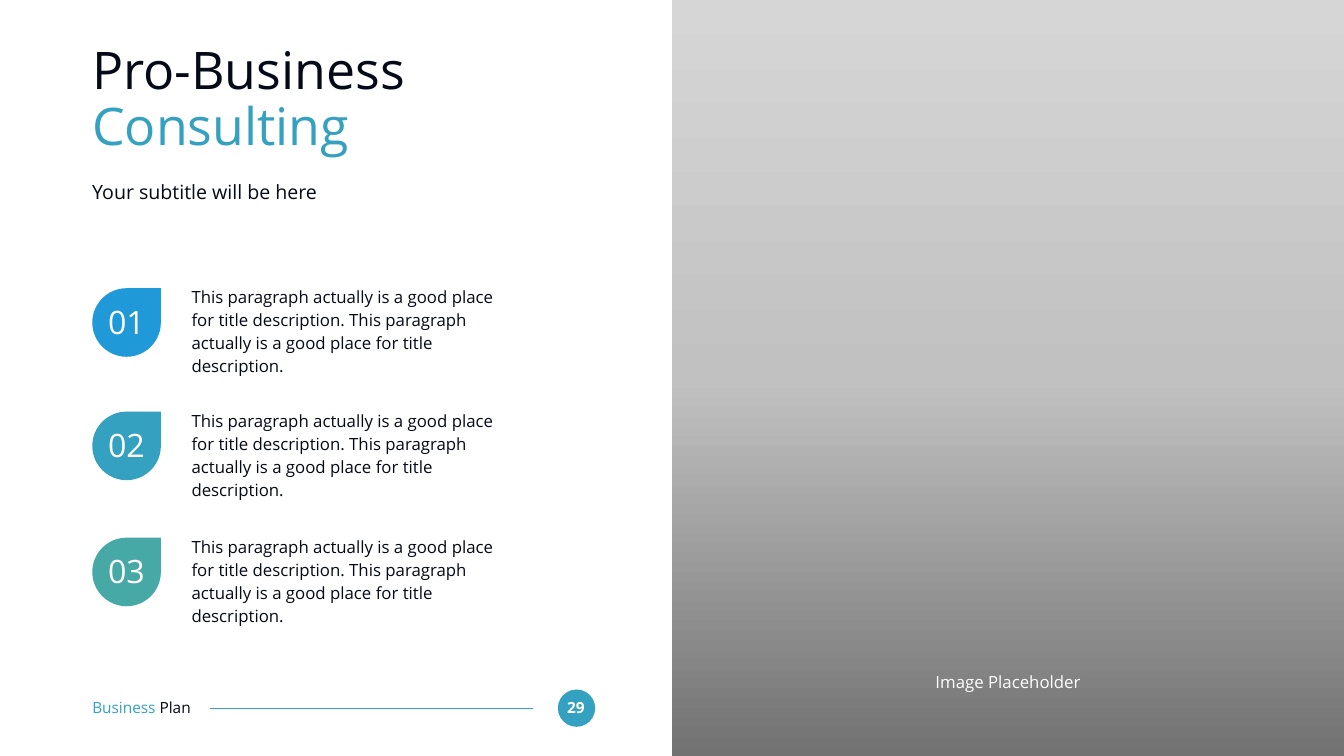
from copy import deepcopy
from lxml.etree import SubElement
from pptx import Presentation
from pptx.dml.color import RGBColor
from pptx.enum.shapes import MSO_CONNECTOR, MSO_SHAPE as SHAPE
from pptx.enum.text import MSO_ANCHOR as ANCHOR, PP_ALIGN as ALIGN
from pptx.oxml.ns import qn
from pptx.util import Pt

INK, WHITE = "050A19", "FFFFFF"
BLUE, TEAL, GREEN = "1F99D8", "34A1C0", "46A9A6"
LEFT = 131.8
DESCRIPTION = ("This paragraph actually is a good place for title description. "
               "This paragraph actually is a good place for title description.")


def color(value):
    return RGBColor.from_string(value)


class SlideBuilder:
    font_name = "Open Sans"

    def __init__(self, slide):
        self.slide = slide

    def shape(self, kind, left, top, width, height, fill=None):
        shape = self.slide.shapes.add_shape(
            kind, Pt(left), Pt(top), Pt(width), Pt(height))
        shape.shadow.inherit = False
        shape.line.fill.background()
        if fill:
            shape.fill.solid()
            shape.fill.fore_color.rgb = color(fill)
        return shape

    def gradient(self, left, top, width, height, bottom, middle, upper):
        shape = self.shape(SHAPE.RECTANGLE, left, top, width, height)
        shape.fill.gradient()
        shape.fill.gradient_angle = 90
        # Add a third stop between the two default ones
        stop_list = shape.element.find(".//" + qn("a:gsLst"))
        stop_list.insert(1, deepcopy(stop_list[0]))
        stops = zip(shape.fill.gradient_stops, (0, 0.5, 1), (bottom, middle, upper))
        for stop, position, value in stops:
            stop.position = position
            stop.color.rgb = color(value)

    def text(self, left, top, width, height, runs, size, align=ALIGN.LEFT,
             anchor=ANCHOR.MIDDLE, spacing=1.0, bold=False):
        box = self.slide.shapes.add_textbox(Pt(left), Pt(top), Pt(width), Pt(height))
        frame = box.text_frame
        frame.word_wrap = True
        frame.vertical_anchor = anchor
        frame.margin_left = frame.margin_right = 0
        frame.margin_top = frame.margin_bottom = 0
        paragraph = frame.paragraphs[0]
        paragraph.alignment = align
        paragraph.line_spacing = spacing
        for words, value in runs:
            run = paragraph.add_run()
            run.text = words
            run.font.name = self.font_name
            run.font.size = Pt(size)
            run.font.bold = bold
            run.font.color.rgb = color(value)

    def line(self, x1, y1, x2, y2, value, width):
        connector = self.slide.shapes.add_connector(
            MSO_CONNECTOR.STRAIGHT, Pt(x1), Pt(y1), Pt(x2), Pt(y2))
        connector.line.color.rgb = color(value)
        connector.line.width = Pt(width)
        SubElement(connector.element.spPr, qn("a:effectLst"))

    def item(self, top, number, fill):
        self.text(273.6, top, 452, 110, [(DESCRIPTION, INK)], 24,
                  anchor=ANCHOR.TOP, spacing=1.14)
        self.shape(SHAPE.TEAR, LEFT, top + 5.6, 98, 98, fill)
        self.text(141.1, top + 25.3, 79.2, 55.4, [(number, WHITE)], 46, ALIGN.CENTER)


def main():
    presentation = Presentation()
    presentation.slide_width, presentation.slide_height = Pt(1920), Pt(1080)
    slide = presentation.slides.add_slide(presentation.slide_layouts[6])
    builder = SlideBuilder(slide)

    # Footer
    builder.shape(SHAPE.OVAL, 797, 985, 53.3, 53.3, TEAL)
    builder.text(801.4, 997.2, 42.5, 26.6, [("29", WHITE)], 22, ALIGN.CENTER, bold=True)
    builder.line(761, 1011.6, 299.5, 1011.6, TEAL, 1.5)
    builder.text(LEFT, 996.5, 186.5, 26.6, [("Business ", TEAL), ("Plan", INK)], 22)

    # Title and subtitle
    builder.text(LEFT, 52.6, 712.8, 181.4,
                 [("Pro-Business ", INK), ("Consulting", TEAL)], 74, spacing=0.9)
    builder.text(LEFT, 258.5, 712.8, 35.3,
                 [("Your subtitle will be here", INK)], 28, spacing=0.9)

    # Numbered items
    items = zip((406.1, 582.4, 762.5), (BLUE, TEAL, GREEN))
    for number, (top, fill) in enumerate(items, 1):
        builder.item(top, f"{number:02}", fill)

    # Image area
    builder.gradient(960, 0, 960, 1080, "727272", "C1C1C1", "D6D6D6")
    builder.text(1186.5, 959, 507, 28.8, [("Image Placeholder", WHITE)], 24, ALIGN.CENTER)

    presentation.save("out.pptx")


if __name__ == "__main__":
    main()
